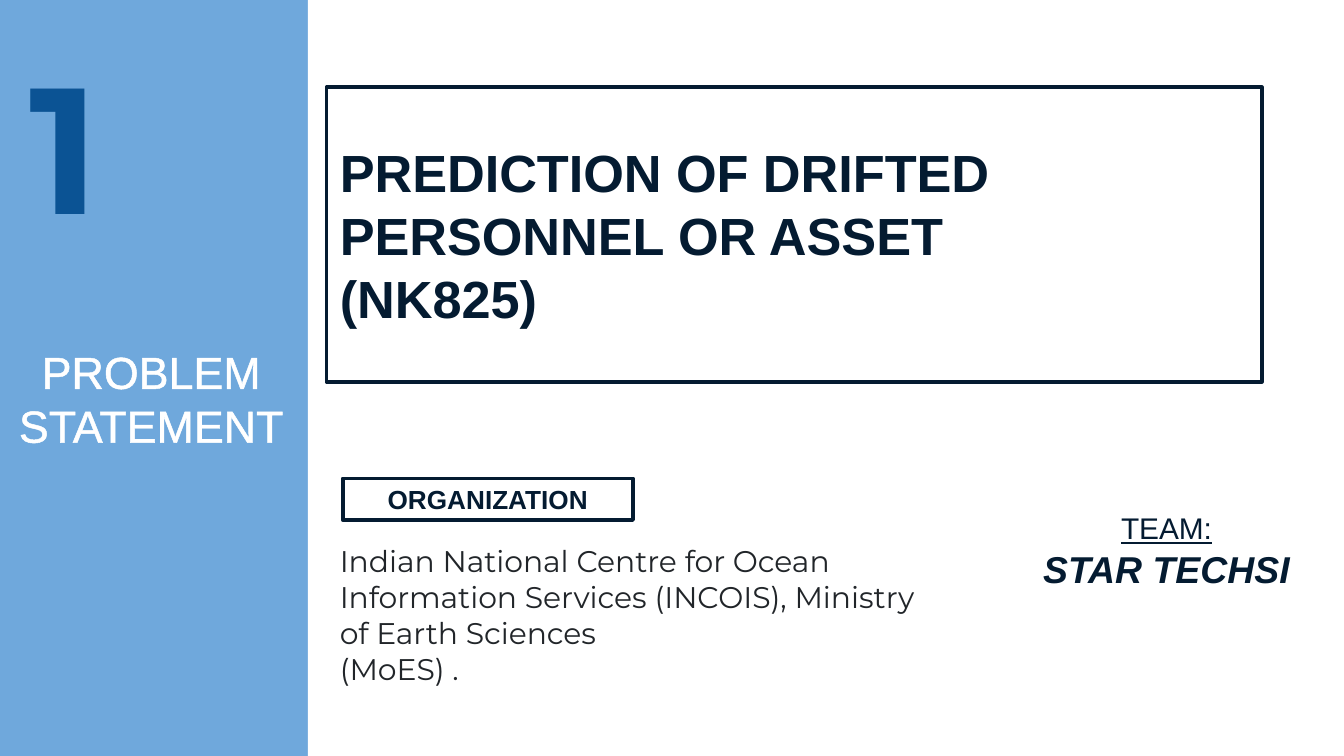
from lxml import etree
from pptx import Presentation
from pptx.dml.color import RGBColor
from pptx.enum.shapes import MSO_SHAPE
from pptx.enum.text import MSO_ANCHOR, PP_ALIGN
from pptx.oxml.ns import qn
from pptx.util import Inches, Pt

RECT = MSO_SHAPE.RECTANGLE
LEFT, CENTER = PP_ALIGN.LEFT, PP_ALIGN.CENTER
TOP, MIDDLE = MSO_ANCHOR.TOP, MSO_ANCHOR.MIDDLE
BLUE, DEEP_BLUE, NAVY = "6FA8DC", "0B5394", "041B31"
WHITE, GREY = "FFFFFF", "212529"
SLIDE_W = 10
SLIDE_H = SLIDE_W * 9 / 16


def rgb(color):
    return RGBColor.from_string(color)


def add_rect(s, x, y, w, h, fill, line=None):
    sp = s.shapes.add_shape(RECT, Inches(x), Inches(y), Inches(w), Inches(h))
    sp.shadow.inherit = False
    sp.fill.solid()
    sp.fill.fore_color.rgb = rgb(fill)
    if line:
        sp.line.color.rgb = rgb(line)
        sp.line.width = Pt(2)
    else:
        sp.line.fill.background()
    return sp


def add_textbox(s, x, y, w, h):
    return s.shapes.add_textbox(Inches(x), Inches(y), Inches(w), Inches(h))


def write(sp, lines, size, color, font="Arial", bold=False, align=LEFT,
          anchor=MIDDLE):
    tf = sp.text_frame
    tf.word_wrap = True
    tf.vertical_anchor = anchor
    tf.text = "\n".join(lines)
    for p in tf.paragraphs:
        p.alignment = align
        for r in p.runs:
            r.font.name = font
            r.font.size = Pt(size)
            r.font.bold = bold
            r.font.color.rgb = rgb(color)
    return tf


def outline_text(tf, color, width):
    for p in tf.paragraphs:
        for r in p.runs:
            ln = etree.Element(qn("a:ln"), w=str(Pt(width)))
            fill = etree.SubElement(ln, qn("a:solidFill"))
            etree.SubElement(fill, qn("a:srgbClr"), val=color)
            r.font._element.insert(0, ln)


def add_section_panel(s, x, y):
    # Section number
    number = add_textbox(s, x + 0.12, y + 0.16, 1.98, 1.37)
    tf = write(number, ["1"], 96, DEEP_BLUE, "Montserrat", True, anchor=TOP)
    tf.margin_top = tf.margin_bottom = Inches(0.1)
    tf.margin_left = tf.margin_right = Inches(0.1)
    # Section name
    name = add_rect(s, x - 0.02, y + 2.35, 2.29, 1.22, BLUE)
    tf = write(name, ["PROBLEM", "STATEMENT"], 24, WHITE, align=CENTER)
    outline_text(tf, WHITE, 1.75)


def add_title(s, x, y, w, h):
    box = add_rect(s, x, y, w, h, WHITE, NAVY)
    write(box, ["PREDICTION OF DRIFTED PERSONNEL OR ASSET", "(NK825)"],
          28, NAVY, bold=True)


def add_organization(s, x, y):
    # Description
    body = add_textbox(s, x, y + 0.43, 4.53, 0.91)
    write(body, ["Indian National Centre for Ocean Information Services "
                 "(INCOIS), Ministry of Earth Sciences", "(MoES) ."],
          16, GREY, "Montserrat", anchor=TOP)
    # Label
    label = add_rect(s, x + 0.12, y, 2.16, 0.31, WHITE, NAVY)
    write(label, ["ORGANIZATION"], 14, NAVY, bold=True, align=CENTER)


def add_team(s, x, y, w, h):
    box = add_rect(s, x, y, w, h, WHITE, WHITE)
    tf = write(box, ["TEAM:", "STAR TECHSI"], 16, NAVY, align=CENTER)
    heading, team = (p.runs[0].font for p in tf.paragraphs)
    heading.underline = True
    team.size = Pt(20)
    team.bold = team.italic = True


def main():
    prs = Presentation()
    prs.slide_width, prs.slide_height = Inches(SLIDE_W), Inches(SLIDE_H)
    s = prs.slides.add_slide(prs.slide_layouts[6])
    # Blue background with a white content area
    s.background.fill.solid()
    s.background.fill.fore_color.rgb = rgb(BLUE)
    add_rect(s, 2.29, 0, SLIDE_W - 2.29, SLIDE_H, WHITE)

    add_section_panel(s, 0, 0)
    add_title(s, 2.43, 0.65, 6.96, 2.19)
    add_organization(s, 2.43, 3.56)
    add_team(s, 7.6, 3.36, 2.16, 1.47)
    prs.save("out.pptx")


if __name__ == "__main__":
    main()
